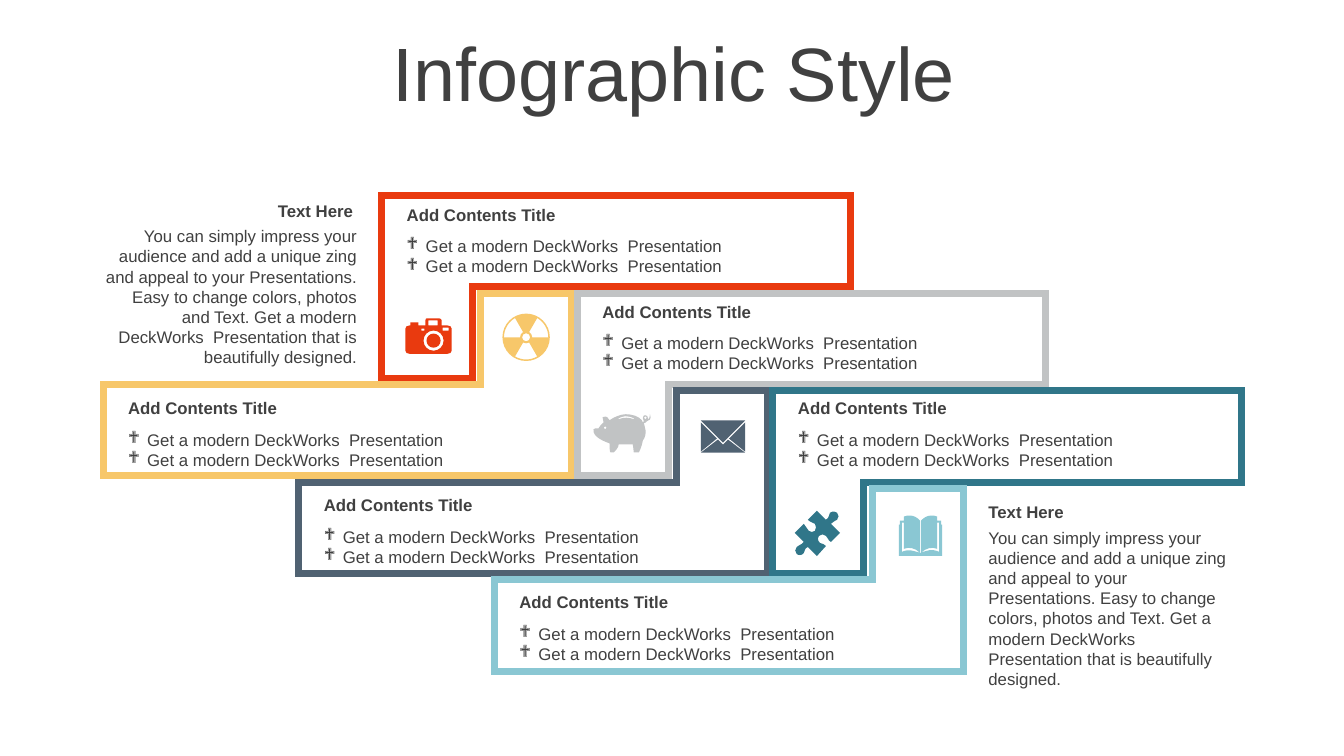
from math import cos, radians, sin, tan

from lxml import etree
from pptx import Presentation
from pptx.dml.color import RGBColor
from pptx.enum.text import MSO_ANCHOR, MSO_AUTO_SIZE, PP_ALIGN
from pptx.oxml.ns import qn
from pptx.util import Cm, Pt

LEFT, MID, RIGHT = PP_ALIGN.LEFT, PP_ALIGN.CENTER, PP_ALIGN.RIGHT
MIDDLE = MSO_ANCHOR.MIDDLE
GROW = MSO_AUTO_SIZE.SHAPE_TO_FIT_TEXT

# Formats
BODY = {"name": "Arial", "size": Pt(12), "bold": False}
HEAD = {**BODY, "bold": True}
TITLE = {**BODY, "size": Pt(54)}
INK = "404040"

# Frame measures in cm
WIDE, TALL, HALF, ARM = 11.81, 4.6, 2.3, 2.29
STEP_X, STEP_Y = 4.93, 2.46
UNIT = 0.0254  # one icon unit

ITEM = "Get a modern DeckWorks  Presentation"
STORY = ("You can simply impress your audience and add a unique zing and appeal "
         "to your Presentations. Easy to change colors, photos and Text. "
         "Get a modern DeckWorks  Presentation that is beautifully designed.")

# Icon outlines: L = point, C = curve, A = arc (centre, radius, angles), Z = close
CAMERA = """L 21 0 L 34 0 C 35 0 36 1 36 2 L 36 7 L 42 7 C 44 7 46 8 46 10 L 46 32
C 46 34 44 35 42 35 L 4 35 C 2 35 0 34 0 32 L 0 10 C 0 8 2 7 4 7 L 5 7 L 5 4 L 13 4
L 13 7 L 20 7 L 20 2 C 20 1 20 0 21 0 Z L 16 10 L 19 10 L 19 12 L 16 12 Z
L 37 9 L 43 9 L 43 12 L 37 12 Z L 23 2 L 32 2 L 32 7 L 23 7 Z
A 28 22 10 0 360 Z A 28 22 7 0 360 Z"""
ATOM = "A 23.5 23.5 23.5 0 360 Z A 23.5 23.5 4 0 360 Z " + " ".join(
    f"A 23.5 23.5 22 {turn} {turn + 60} A 23.5 23.5 6 {turn + 60} {turn} Z"
    for turn in (60, 180, 300))
PIG = """L 32 0 C 38 0 45 2 48 6 L 49 8 L 50 7 C 49 6 49 5 49 4 C 49 2 50 1 51 1
C 53 1 54 2 54 4 L 54 5 C 54 5 56 5 56 0 C 58 5 55 7 53 7 C 52 8 51 9 50 9 L 51 13
C 53 18 51 24 49 26 C 48 31 47 34 45 38 L 40 38 C 40 35 39 32 39 30
C 34 30 29 30 25 30 C 25 33 22 36 20 38 L 17 38 C 16 38 16 32 16 29
C 11 27 -1 23 0 15 C 0 14 3 14 5 14 C 7 12 7 10 10 8 C 10 7 9 4 9 3
C 14 1 14 4 16 6 C 20 3 27 0 32 0 Z A 11.5 13.5 1.5 0 360 Z A 51.5 3.5 1.5 0 360 Z
L 32 2 C 30 2 27 3 25 4 L 25 5 C 30 3 35 3 40 5 L 40 4 C 38 3 35 2 32 2 Z"""
MAIL = """L 27 19 L 44 32 L 0 32 L 17 19 L 22 24 Z L 44 2 L 44 31 L 28 18 Z
L 0 2 L 16 18 L 0 31 Z L 0 0 L 44 0 L 22 22 Z"""
PUZZLE = """L 42 2 C 44 4 44 7 42 9 C 40 11 38 10 36 13 L 45 22 L 36 31
C 32 29 34 27 31 25 C 29 23 26 23 24 25 C 23 26 22 29 25 32 C 28 34 29 32 31 35
L 22 45 L 13 36 C 9 38 11 39 9 42 C 7 45 3 44 2 43 C 0 41 0 38 2 36
C 4 33 6 35 9 31 L 0 22 L 9 13 C 12 15 11 18 14 20 C 16 22 18 21 20 20
C 21 18 22 15 20 13 C 17 11 16 12 13 9 L 22 0 L 31 9 C 35 6 33 5 35 2
C 38 0 41 1 42 2 Z"""
BOOK = """L 21 37 L 22 37 C 29 34 33 33 40 36 L 40 7 L 38 7 L 38 33 C 33 31 27 32 22 37
L 22 5 C 25 2 28 0 32 0 C 34 0 36 0 38 1 L 38 5 L 42 5 L 42 9 L 43 9 L 43 40
L 0 40 L 0 9 L 1 9 L 1 5 L 5 5 L 5 1 C 7 0 9 0 11 0 C 15 0 18 2 21 5 L 21 37
C 16 32 10 31 5 33 L 5 7 L 3 7 L 3 36 C 10 33 14 35 21 37 Z"""

# Upper and lower frame of each tier: colour, icon, icon centre in the frame
TIERS = [
    (("E93A0F", CAMERA, 1.18, 3.54), ("F7C76A", ATOM, 10.66, 1.11)),
    (("C1C3C4", PIG, 1.13, 3.53), ("506272", MAIL, 10.69, 1.15)),
    (("307689", PUZZLE, 1.12, 3.59), ("8AC7D3", BOOK, 10.74, 1.19)),
]


def color(code):
    return RGBColor.from_string(code)


def write(slide, box, lines, style, align=LEFT, mark=None):
    """Add a text box; mark is the bullet sign."""
    shape = slide.shapes.add_textbox(*map(Cm, box))
    frame = shape.text_frame
    frame.word_wrap = True
    frame.auto_size = GROW
    for num, line in enumerate(lines):
        par = frame.add_paragraph() if num else frame.paragraphs[0]
        par.alignment = align
        if mark:
            props = par._p.get_or_add_pPr()
            props.set("marL", str(Cm(0.48)))
            props.set("indent", str(-Cm(0.48)))
            etree.SubElement(props, qn("a:buFont")).set("typeface", "Wingdings")
            etree.SubElement(props, qn("a:buChar")).set("char", mark)
        run = par.add_run()
        run.text = line
        for key, value in style.items():
            setattr(run.font, key, value)
        run.font.color.rgb = color(INK)
    return frame


def draw(slide, loops, fill, kinds=""):
    """Draw closed loops of points, in cm; kinds tells curves from lines."""
    loops = [[(Cm(x), Cm(y)) for x, y in loop] for loop in loops]
    pen = slide.shapes.build_freeform(*loops[0][0])
    for num, loop in enumerate(loops):
        if num:
            pen.move_to(*loop[0])
        pen.add_line_segments(loop[1:], close=True)
    shape = pen.convert_to_shape()
    nodes = iter(list(shape._element.iter(qn("a:lnTo"))))
    for kind in kinds:
        node = next(nodes)
        if kind == "C":
            bend = etree.Element(qn("a:cubicBezTo"))
            node.addprevious(bend)
            for part in (node, next(nodes), next(nodes)):
                bend.append(part[0])
                part.getparent().remove(part)
    shape.shadow.inherit = False
    shape.fill.solid()
    shape.fill.fore_color.rgb = color(fill)
    shape.line.fill.background()
    return shape


def arc(x, y, r, start, stop):
    """Give the start of an arc, then three points for each curve."""
    count = max(1, round(abs(stop - start) / 90))
    turn = radians(stop - start) / count
    pull = 4 / 3 * tan(turn / 4)
    points = [(x + r * cos(radians(start)), y + r * sin(radians(start)))]
    for k in range(count):
        a = radians(start) + k * turn
        b = a + turn
        points += [(x + r * (cos(a) - pull * sin(a)), y + r * (sin(a) + pull * cos(a))),
                   (x + r * (cos(b) + pull * sin(b)), y + r * (sin(b) - pull * cos(b))),
                   (x + r * cos(b), y + r * sin(b))]
    return points


def trace(code):
    """Turn an icon outline into loops of points and the kinds of its parts."""
    loops, kinds = [], ""
    for part in code.split("Z")[:-1]:
        loop, words = [], part.split()
        while words:
            kind = words[0]
            size = {"L": 2, "C": 6, "A": 5}[kind]
            nums = [float(word) for word in words[1:size + 1]]
            words = words[size + 1:]
            points = arc(*nums) if kind == "A" else list(zip(nums[::2], nums[1::2]))
            if loop and kind != "C":
                kinds += "L"
            kinds += "C" * (len(points) // 3)
            loop += points
        loops.append(loop)
    return loops, kinds


def icon(slide, x, y, code, fill):
    """Centre an icon on x, y."""
    loops, kinds = trace(code)
    xs, ys = zip(*(point for loop in loops for point in loop))
    mid_x, mid_y = (min(xs) + max(xs)) / 2, (min(ys) + max(ys)) / 2
    draw(slide, [[(x + (a - mid_x) * UNIT, y + (b - mid_y) * UNIT) for a, b in loop]
                 for loop in loops], fill, kinds)


def panel(slide, x, y, part, drop, low):
    """One L-shaped frame with its icon and text; low frames are turned around."""
    hue, code, spot_x, spot_y = part
    edge = [(0, 0), (WIDE, 0), (WIDE, HALF), (ARM, HALF), (ARM, TALL), (0, TALL)]
    if low:
        edge = [(WIDE - a, TALL - b) for a, b in edge]
    shape = draw(slide, [[(x + a, y + b) for a, b in edge]], "FFFFFF")
    shape.line.color.rgb = color(hue)
    shape.line.width = Pt(5)
    etree.SubElement(shape.line._ln, qn("a:miter")).set("lim", "800000")
    icon(slide, x + spot_x, y + spot_y, code, hue)
    left, top = x + 0.38, y + drop
    write(slide, (left, top, 9.07, 0.76), ["Add Contents Title"], HEAD)
    write(slide, (left, top + 0.79, 9.07, 1.27), [ITEM] * 2, BODY, mark="❖")


def note(slide, x, y, wide, align, inset=0):
    """Side text with a heading."""
    write(slide, (x, y, wide - inset, 0.76), ["Text Here"], HEAD, align)
    write(slide, (x, y + 0.64, wide, 3.84), [STORY], BODY, align)


def main():
    deck = Presentation()
    deck.slide_width, deck.slide_height = Cm(33.87), Cm(19.05)
    slide = deck.slides.add_slide(deck.slide_layouts[6])

    # Title
    frame = write(slide, (0.9, 0.94, 32.16, 2.01), ["Infographic Style"], TITLE, MID)
    frame.auto_size = None
    frame.vertical_anchor = MIDDLE
    frame.paragraphs[0].line_spacing = 0.9

    # Stair of frames
    for num, (upper, lower) in enumerate(TIERS):
        right, down, lift = num * STEP_X, num * STEP_Y, num * 0.02
        panel(slide, 9.62 + right, 4.93 + down, upper, 0.1 - lift, low=False)
        panel(slide, 2.6 + right, 7.39 + down, lower, 2.52 - lift, low=True)

    # Side notes
    note(slide, 2.29, 4.93, 6.96, RIGHT, inset=0.1)
    note(slide, 24.66, 12.53, 6.81, LEFT)
    deck.save("out.pptx")


if __name__ == "__main__":
    main()
